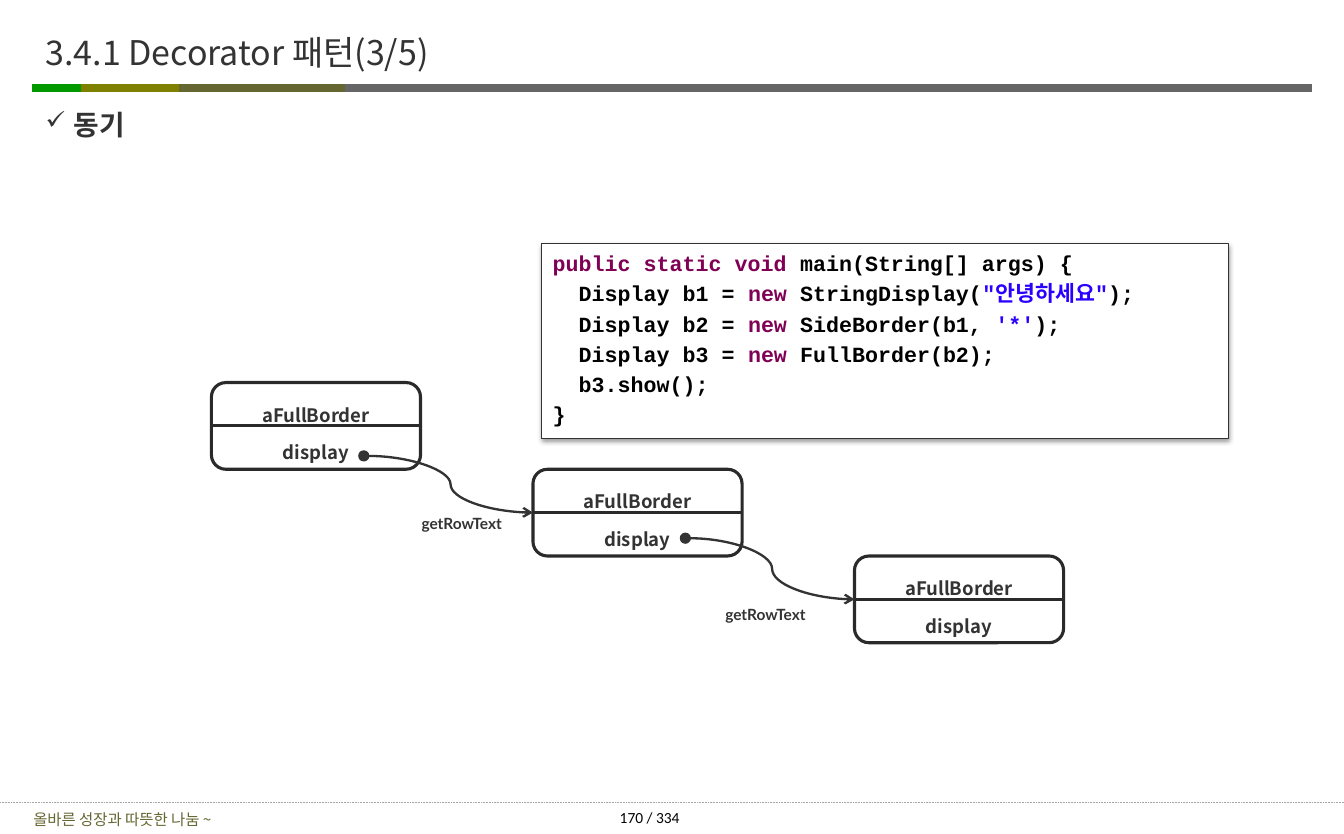
from lxml import etree
from pptx import Presentation
from pptx.dml.color import RGBColor
from pptx.enum.dml import MSO_LINE
from pptx.enum.shapes import MSO_CONNECTOR, MSO_SHAPE
from pptx.enum.text import MSO_ANCHOR, PP_ALIGN
from pptx.oxml.ns import qn
from pptx.util import Pt

PX = 9144  # 100 px to the inch
STRAIGHT, CURVE = MSO_CONNECTOR.STRAIGHT, MSO_CONNECTOR.CURVE
RECTANGLE, ROUNDED, OVAL = MSO_SHAPE.RECTANGLE, MSO_SHAPE.ROUNDED_RECTANGLE, MSO_SHAPE.OVAL
LEFT, CENTER = PP_ALIGN.LEFT, PP_ALIGN.CENTER
TOP, MIDDLE = MSO_ANCHOR.TOP, MSO_ANCHOR.MIDDLE
KOREAN, CODE, LABEL, NUMBER = "Noto Sans CJK KR", "Courier New", "Lato", "Calibri"
INK, OUTLINE, OLIVE, BLACK, WHITE = "333333", "2A2A2A", "666633", "000000", "FFFFFF"
KEYWORD, STRING = "7F0055", "2A00FF"


def color(value):
    return RGBColor.from_string(value)


def write(shape, lines, font, size, bold=False, align=LEFT, anchor=TOP,
          insets=(10, 5), spacing=None):
    """Fill a shape with lines, each a list of (text, colour) runs."""
    frame = shape.text_frame
    frame.word_wrap = True
    frame.vertical_anchor = anchor
    frame.margin_left = frame.margin_right = insets[0] * PX
    frame.margin_top = frame.margin_bottom = insets[1] * PX
    for index, runs in enumerate(lines):
        paragraph = frame.paragraphs[0] if index == 0 else frame.add_paragraph()
        paragraph.alignment = align
        if spacing:
            paragraph.line_spacing = Pt(spacing)
        for text, shade in runs:
            run = paragraph.add_run()
            run.text = text
            run.font.name = font
            run.font.size = Pt(size)
            run.font.bold = bold
            run.font.color.rgb = color(shade)
            properties = run.font._element
            etree.SubElement(properties, qn("a:ea"), typeface=KOREAN)
    return frame


def connect(kind, start, end, shade, width):
    line = shapes.add_connector(kind, *[value * PX for value in (*start, *end)])
    line.line.color.rgb = color(shade)
    line.line.width = Pt(width)
    etree.SubElement(line._element.spPr, qn("a:effectLst"))
    return line


presentation = Presentation()
presentation.slide_width = 1208 * PX
presentation.slide_height = 750 * PX
slide = presentation.slides.add_slide(presentation.slide_layouts[6])
shapes = slide.shapes

# Header bar and footer
for left, right, shade in [(298, 1179, "666666"), (29, 109, "009900"),
                           (73, 166, "808000"), (161, 310, OLIVE)]:
    connect(STRAIGHT, (left, 79), (right, 79), shade, 5)
footer_rule = connect(STRAIGHT, (0, 722), (1208, 722), "A6A6A6", 0.5)
footer_rule.line.dash_style = MSO_LINE.ROUND_DOT

footer = shapes.add_textbox(0, 724 * PX, 220 * PX, 26 * PX)
write(footer, [[("올바른 성장과 따뜻한 나눔 ~", OLIVE)]], KOREAN, 10,
      align=CENTER, anchor=MIDDLE)
page_number = shapes.add_textbox(553 * PX, 722 * PX, 95 * PX, 27 * PX)
write(page_number, [[("170 / 334", BLACK)]], NUMBER, 10, insets=(4, 5))

# Title and heading
title = shapes.add_textbox(37 * PX, 15 * PX, 1000 * PX, 63 * PX)
write(title, [[("3.4.1 Decorator 패턴(3/5)", INK)]], KOREAN, 22,
      anchor=MIDDLE, insets=(4, 4))

heading = shapes.add_textbox(37 * PX, 91 * PX, 1150 * PX, 123 * PX)
frame = write(heading, [[("동기", INK)]], KOREAN, 18, bold=True, insets=(4, 6), spacing=21.6)
properties = frame.paragraphs[0]._p.get_or_add_pPr()
properties.set("marL", str(25 * PX))
properties.set("indent", str(-25 * PX))
bullet_color = etree.SubElement(properties, qn("a:buClr"))
etree.SubElement(bullet_color, qn("a:srgbClr"), val=INK)
etree.SubElement(properties, qn("a:buSzPct"), val="90000")
etree.SubElement(properties, qn("a:buChar"), char="✓")

# Objects, each one step right and down from the one before
BOX_LEFT, BOX_TOP, BOX_WIDTH, BOX_HEIGHT = 190, 344, 188, 78
STEP_X, STEP_Y, DOT = 289, 78, 8
for index in range(3):
    left, top = BOX_LEFT + index * STEP_X, BOX_TOP + index * STEP_Y
    box = shapes.add_shape(ROUNDED, left * PX, top * PX, BOX_WIDTH * PX, BOX_HEIGHT * PX)
    box.shadow.inherit = False
    box.fill.solid()
    box.fill.fore_color.rgb = color(WHITE)
    box.line.color.rgb = color(OUTLINE)
    box.line.width = Pt(2)
    write(box, [[("aFullBorder", INK)], [("display", INK)]], KOREAN, 12, bold=True,
          align=CENTER, anchor=MIDDLE, spacing=24.3)
    middle = top + BOX_HEIGHT // 2
    connect(STRAIGHT, (left, middle), (left + BOX_WIDTH, middle), OUTLINE, 2)

# Calls from one object to the next
for index, (dot_top, label_left, label_top) in enumerate([(406, 362, 457), (480, 635, 539)]):
    dot_left = BOX_LEFT + 133 + index * STEP_X
    dot = shapes.add_shape(OVAL, dot_left * PX, dot_top * PX, DOT * PX, DOT * PX)
    dot.shadow.inherit = False
    dot.fill.solid()
    dot.fill.fore_color.rgb = color(INK)
    dot.line.color.rgb = color(INK)
    dot.line.width = Pt(1.5)
    target = (BOX_LEFT + (index + 1) * STEP_X, BOX_TOP + (index + 1) * STEP_Y + BOX_HEIGHT // 2)
    arrow = connect(CURVE, (dot_left + DOT, dot_top + DOT // 2), target, INK, 1.5)
    etree.SubElement(arrow.line._get_or_add_ln(), qn("a:tailEnd"), type="arrow")
    label = shapes.add_textbox(label_left * PX, label_top * PX, 106 * PX, 27 * PX)
    write(label, [[("getRowText", INK)]], LABEL, 10, bold=True, align=CENTER)

# Code listing
code_lines = [
    [("public static void", KEYWORD), (" main(String[] args) {", BLACK)],
    [("  Display b1 = ", BLACK), ("new ", KEYWORD), ("StringDisplay(", BLACK),
     ('"안녕하세요"', STRING), (");", BLACK)],
    [("  Display b2 = ", BLACK), ("new ", KEYWORD), ("SideBorder(b1, ", BLACK),
     ("'*'", STRING), (");", BLACK)],
    [("  Display b3 = ", BLACK), ("new ", KEYWORD), ("FullBorder(b2);", BLACK)],
    [("  b3.show();", BLACK)],
    [("}", BLACK)],
]
code_box = shapes.add_shape(RECTANGLE, 487 * PX, 219 * PX, 617 * PX, 175 * PX)
code_box.fill.solid()
code_box.fill.fore_color.rgb = color(WHITE)
code_box.line.color.rgb = color(INK)
code_box.line.width = Pt(0.75)
effects = etree.SubElement(code_box._element.spPr, qn("a:effectLst"))
shadow = etree.SubElement(effects, qn("a:outerShdw"), blurRad=str(Pt(3.1)), dist=str(Pt(1.6)),
                          dir="5400000", rotWithShape="0")
shadow_color = etree.SubElement(shadow, qn("a:srgbClr"), val=BLACK)
etree.SubElement(shadow_color, qn("a:alpha"), val="38000")
write(code_box, code_lines, CODE, 14, bold=True, insets=(10, 2), spacing=19.6)

presentation.save("out.pptx")
